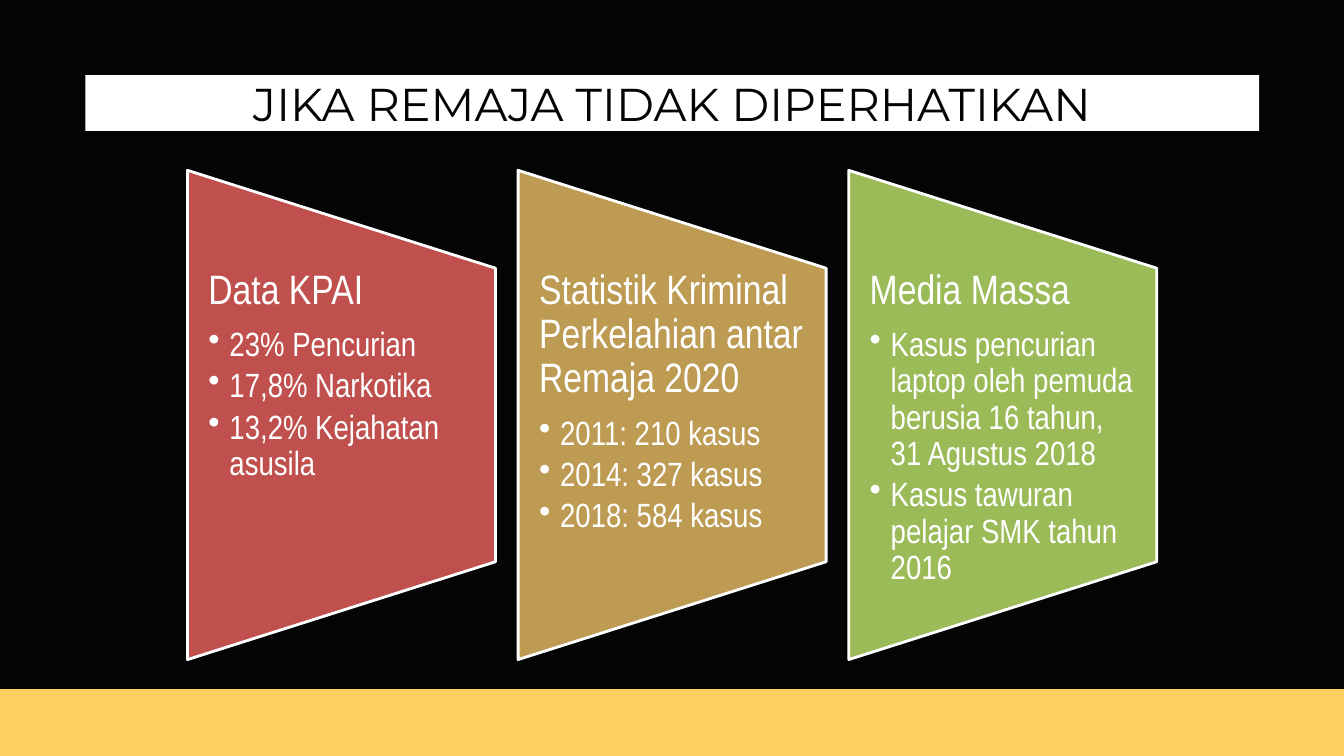
import pptx
import pptx.dml.color
import pptx.enum.shapes
import pptx.enum.text
import pptx.util
from lxml import etree
from pptx.oxml.ns import qn

Pt = pptx.util.Pt
RGBColor = pptx.dml.color.RGBColor
MSO_SHAPE = pptx.enum.shapes.MSO_SHAPE

BLACK = RGBColor(0x04, 0x04, 0x04)
WHITE = RGBColor(0xFF, 0xFF, 0xFF)
YELLOW = RGBColor(0xFD, 0xCF, 0x60)
RED = RGBColor(0xC0, 0x50, 0x4D)
GOLD = RGBColor(0xBD, 0x9B, 0x53)
GREEN = RGBColor(0x9B, 0xBB, 0x59)

SLIDE_WIDTH, SLIDE_HEIGHT = 1440, 810
PANEL_WIDTH, PANEL_HEIGHT = 330, 524.2
PANEL_LEFT, PANEL_TOP = 200.9, 182.5
PANEL_PITCH = 354.24
TEXT_TOP, TEXT_HEIGHT = 288, 314.6
INDENT = 22.5

PANELS = [
    (RED, "Data KPAI",
     ["23% Pencurian", "17,8% Narkotika", "13,2% Kejahatan asusila"]),
    (GOLD, "Statistik Kriminal Perkelahian antar Remaja 2020",
     ["2011: 210 kasus", "2014: 327 kasus", "2018: 584 kasus"]),
    (GREEN, "Media Massa",
     ["Kasus pencurian laptop oleh pemuda berusia 16 tahun, 31 Agustus 2018",
      "Kasus tawuran pelajar SMK tahun 2016"]),
]


def add_filled_shape(slide, kind, left, top, width, height, color):
    shape = slide.shapes.add_shape(kind, Pt(left), Pt(top), Pt(width), Pt(height))
    shape.shadow.inherit = False
    shape.fill.solid()
    shape.fill.fore_color.rgb = color
    shape.line.fill.background()
    return shape


def prepare_text_frame(shape, side_margin):
    text_frame = shape.text_frame
    text_frame.word_wrap = True
    text_frame.vertical_anchor = pptx.enum.text.MSO_ANCHOR.TOP
    text_frame.margin_left = text_frame.margin_right = Pt(side_margin)
    text_frame.margin_top = text_frame.margin_bottom = 0
    return text_frame


def format_runs(paragraph, name, size, color):
    for run in paragraph.runs:
        run.font.name = name
        run.font.size = Pt(size)
        run.font.color.rgb = color


def add_bullet(paragraph):
    paragraph.level = 1
    properties = paragraph._p.get_or_add_pPr()
    properties.set("marL", str(Pt(INDENT)))
    properties.set("indent", str(-Pt(INDENT)))
    etree.SubElement(properties, qn("a:buChar")).set("char", "•")


def add_title(slide, text):
    bar = add_filled_shape(slide, MSO_SHAPE.RECTANGLE, 91.4, 80.6, 1257.8, 59.8, WHITE)
    text_frame = prepare_text_frame(bar, 0)
    text_frame.text = text
    paragraph = text_frame.paragraphs[0]
    paragraph.alignment = pptx.enum.text.PP_ALIGN.CENTER
    paragraph.line_spacing = Pt(59.2)
    format_runs(paragraph, "Montserrat", 49.3, BLACK)


def add_panel(slide, left, color, heading, items):
    """Add a trapezoid turned on its side, with a heading and bullets over it."""
    # The shape turns about its centre, so its unturned frame swaps the two sides.
    offset = (PANEL_HEIGHT - PANEL_WIDTH) / 2
    trapezoid = add_filled_shape(
        slide, MSO_SHAPE.FLOWCHART_MANUAL_OPERATION, left - offset,
        PANEL_TOP + offset, PANEL_HEIGHT, PANEL_WIDTH, color)
    trapezoid.rotation = 270
    trapezoid.line.color.rgb = WHITE
    trapezoid.line.width = Pt(3)

    text_box = slide.shapes.add_textbox(
        Pt(left), Pt(TEXT_TOP), Pt(PANEL_WIDTH), Pt(TEXT_HEIGHT))
    text_frame = prepare_text_frame(text_box, INDENT)
    text_frame.text = "\n".join([heading] + items)
    for index, paragraph in enumerate(text_frame.paragraphs):
        size, space_after = (36, 5.4) if index else (44, 15.4)
        if index:
            add_bullet(paragraph)
        paragraph.alignment = pptx.enum.text.PP_ALIGN.LEFT
        paragraph.line_spacing = 0.9
        paragraph.space_after = Pt(space_after)
        format_runs(paragraph, "Arial Narrow", size, WHITE)


def main():
    presentation = pptx.Presentation()
    presentation.slide_width = Pt(SLIDE_WIDTH)
    presentation.slide_height = Pt(SLIDE_HEIGHT)
    slide = presentation.slides.add_slide(presentation.slide_layouts[6])
    slide.background.fill.solid()
    slide.background.fill.fore_color.rgb = BLACK

    add_title(slide, "JIKA REMAJA TIDAK DIPERHATIKAN")
    add_filled_shape(slide, MSO_SHAPE.RECTANGLE, 0, 738.5, SLIDE_WIDTH, 71.5, YELLOW)
    for index, (color, heading, items) in enumerate(PANELS):
        add_panel(slide, PANEL_LEFT + index * PANEL_PITCH, color, heading, items)

    presentation.save("out.pptx")


if __name__ == "__main__":
    main()
